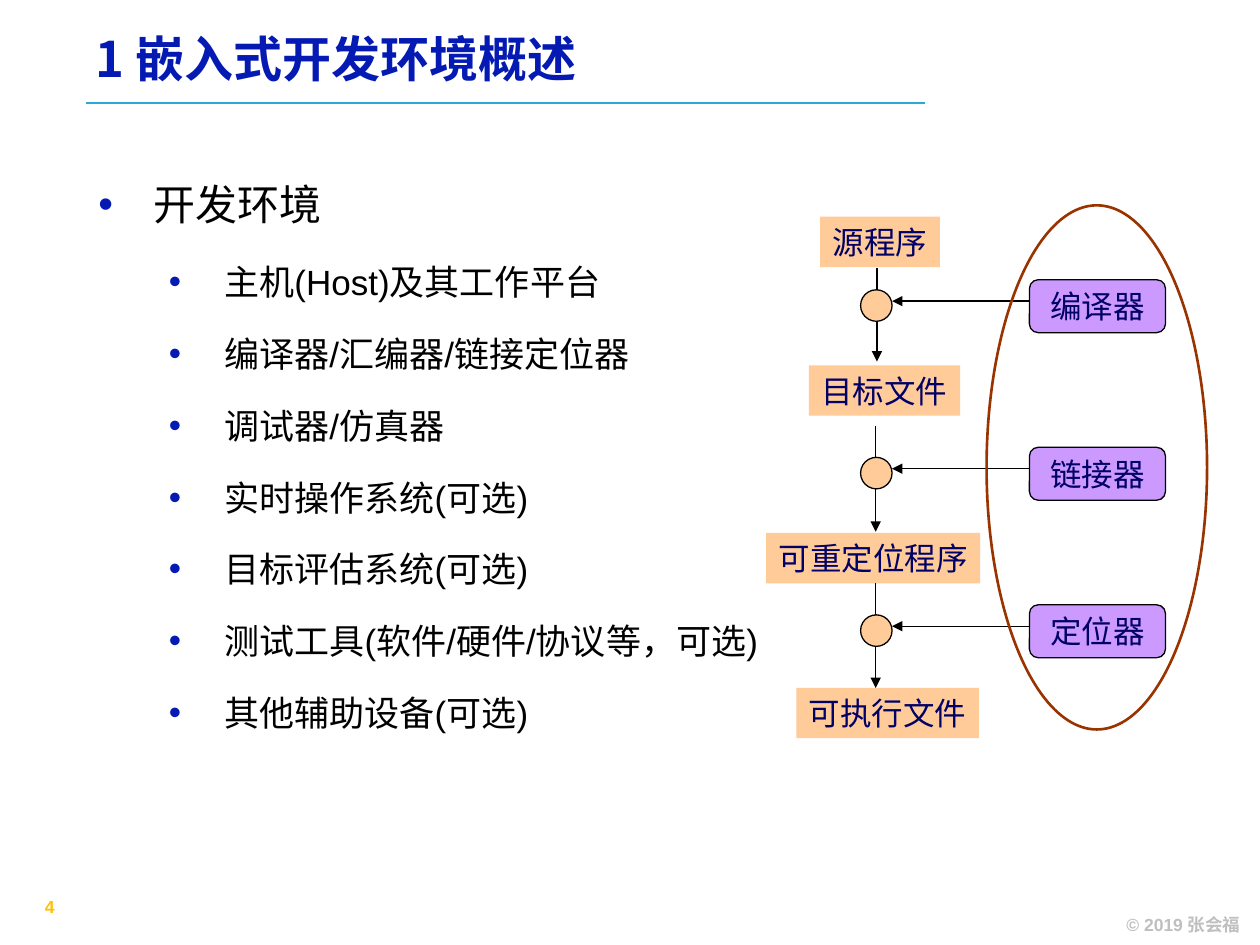
from pptx import Presentation
from pptx.dml.color import RGBColor
from pptx.enum.shapes import MSO_CONNECTOR as Connector, MSO_SHAPE as Shape
from pptx.enum.text import MSO_ANCHOR as Anchor, MSO_AUTO_SIZE as AutoSize, PP_ALIGN as Align
from pptx.oxml import parse_xml
from pptx.oxml.ns import nsdecls
from pptx.util import Inches, Pt

LATIN, CJK = "Arial", "Noto Sans CJK SC"
BLUE, NAVY, BLACK = "051AB3", "000066", "000000"
PEACH, PURPLE, BROWN = "FFCC99", "CC99FF", "993300"


def color(value):
    return RGBColor.from_string(value)


def element(tag, attributes="", content=""):
    return parse_xml(f"<a:{tag} {nsdecls('a')} {attributes}>{content}</a:{tag}>")


class SlideBuilder:
    """Draws styled elements on the current slide."""

    def __init__(self, slide):
        self.slide = slide

    def add_run(self, paragraph, text, size, value, bold=False, font=LATIN):
        run = paragraph.add_run()
        run.text = text
        run.font.name = font
        run.font.size = Pt(size)
        run.font.bold = bold
        run.font.color.rgb = color(value)
        run.font._element.find("{*}latin").addnext(element("ea", f'typeface="{CJK}"'))

    def place(self, shape, left, top, width, height):
        shape.left, shape.top = Inches(left), Inches(top)
        shape.width, shape.height = Inches(width), Inches(height)
        frame = shape.text_frame
        frame.word_wrap = True
        frame.auto_size = AutoSize.NONE
        frame.vertical_anchor = Anchor.TOP
        return frame

    def title(self, text, *box):
        paragraph = self.place(self.slide.shapes.title, *box).paragraphs[0]
        paragraph.alignment = Align.LEFT
        paragraph.line_spacing = 0.9
        self.add_run(paragraph, text, 28, BLUE, True, CJK)

    def bullets(self, items, *box):
        frame = self.place(self.slide.placeholders[1], *box)
        for index, (level, text) in enumerate(items):
            paragraph = frame.add_paragraph() if index else frame.paragraphs[0]
            paragraph.level = level
            paragraph.line_spacing = 1.5
            paragraph.space_before = Pt(0)
            paragraph.space_after = Pt(5 if level else 6)
            properties = paragraph._p.get_or_add_pPr()
            properties.set("marL", str(Inches(1 if level else 0.44)))
            properties.set("indent", str(Inches(-0.44)))
            properties.append(element("buClr", content=f'<a:srgbClr val="{BLUE}"/>'))
            properties.append(element("buFont", f'typeface="{LATIN}"'))
            properties.append(element("buChar", 'char="•"'))
            self.add_run(paragraph, text, 20 if level else 24, BLACK,
                         font=LATIN if level else CJK)

    def small_text(self, text, value, alignment, *box):
        frame = self.place(self.slide.shapes.add_textbox(0, 0, 0, 0), *box)
        frame.vertical_anchor = Anchor.MIDDLE
        paragraph = frame.paragraphs[0]
        paragraph.alignment = alignment
        self.add_run(paragraph, text, 10, value, True)

    def shape(self, kind, left, top, width, height, fill=None, line=None,
              text=None, weight=0.75):
        shape = self.slide.shapes.add_shape(
            kind, Inches(left), Inches(top), Inches(width), Inches(height))
        shape.shadow.inherit = False
        if fill:
            shape.fill.solid()
            shape.fill.fore_color.rgb = color(fill)
        else:
            shape.fill.background()
        if line:
            shape.line.color.rgb = color(line)
            shape.line.width = Pt(weight)
        else:
            shape.line.fill.background()
        if text:
            frame = shape.text_frame
            frame.word_wrap = False
            frame.vertical_anchor = Anchor.MIDDLE
            frame.paragraphs[0].alignment = Align.CENTER
            self.add_run(frame.paragraphs[0], text, 18, NAVY)

    def line(self, start, end, value=BLACK, weight=0.75, arrow=True):
        ends = [Inches(length) for length in (*start, *end)]
        connector = self.slide.shapes.add_connector(Connector.STRAIGHT, *ends)
        connector.line.color.rgb = color(value)
        connector.line.width = Pt(weight)
        if arrow:
            connector.line._get_or_add_ln().append(element("tailEnd", 'type="triangle"'))
        connector._element.spPr.append(element("effectLst"))


def main():
    presentation = Presentation()
    presentation.slide_width, presentation.slide_height = Inches(10), Inches(7.5)
    builder = SlideBuilder(presentation.slides.add_slide(presentation.slide_layouts[1]))

    builder.line((7.34, 0.82), (0.68, 0.82), "28A9D6", 1.25, arrow=False)
    builder.small_text("© 2019 张会福", "BFBFBF", Align.RIGHT, 8.09, 7.2, 1.85, 0.27)
    builder.small_text("4", "FFC000", Align.CENTER, 0.14, 7.02, 0.51, 0.35)
    builder.title("1 嵌入式开发环境概述", 0.66, 0.23, 8.79, 0.59)
    details = ["主机(Host)及其工作平台", "编译器/汇编器/链接定位器", "调试器/仿真器",
               "实时操作系统(可选)", "目标评估系统(可选)",
               "测试工具(软件/硬件/协议等，可选)", "其他辅助设备(可选)"]
    builder.bullets([(0, "开发环境")] + [(1, text) for text in details],
                    0.68, 1.17, 5.86, 5.7)

    files = [("源程序", 6.51, 1.72, 0.95), ("目标文件", 6.42, 2.9, 1.2),
             ("可重定位程序", 6.08, 4.23, 1.7), ("可执行文件", 6.32, 5.46, 1.45)]
    for text, left, top, width in files:
        builder.shape(Shape.RECTANGLE, left, top, width, 0.4, PEACH, text=text)

    tools = [("编译器", 2.3, 6.96, 2.13, 2.87), ("链接器", 3.63, 6.95, 3.38, 4.22),
             ("定位器", 4.88, 6.95, 4.63, 5.46)]
    for text, top, flow_x, flow_start, flow_end in tools:
        builder.shape(Shape.ROUNDED_RECTANGLE, 8.17, top - 0.08, 1.08, 0.42,
                      PURPLE, BLACK, text)
        builder.line((8.17, top + 0.09), (7.08, top + 0.09))
        builder.line((flow_x, flow_start), (flow_x, flow_end))
        builder.shape(Shape.OVAL, 6.83, top, 0.25, 0.25, PEACH, BLACK)
    builder.shape(Shape.OVAL, 7.83, 1.63, 1.75, 4.16, line=BROWN, weight=1.5)

    presentation.save("out.pptx")


if __name__ == "__main__":
    main()
